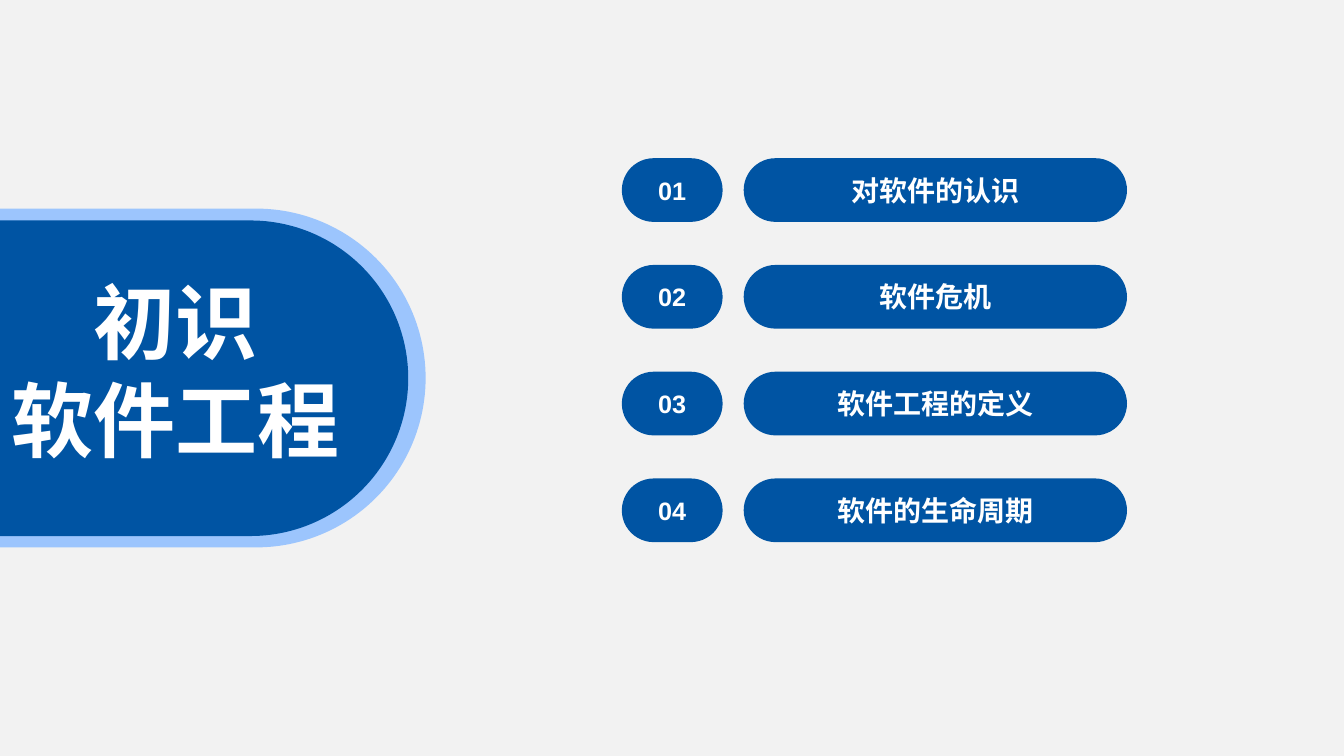
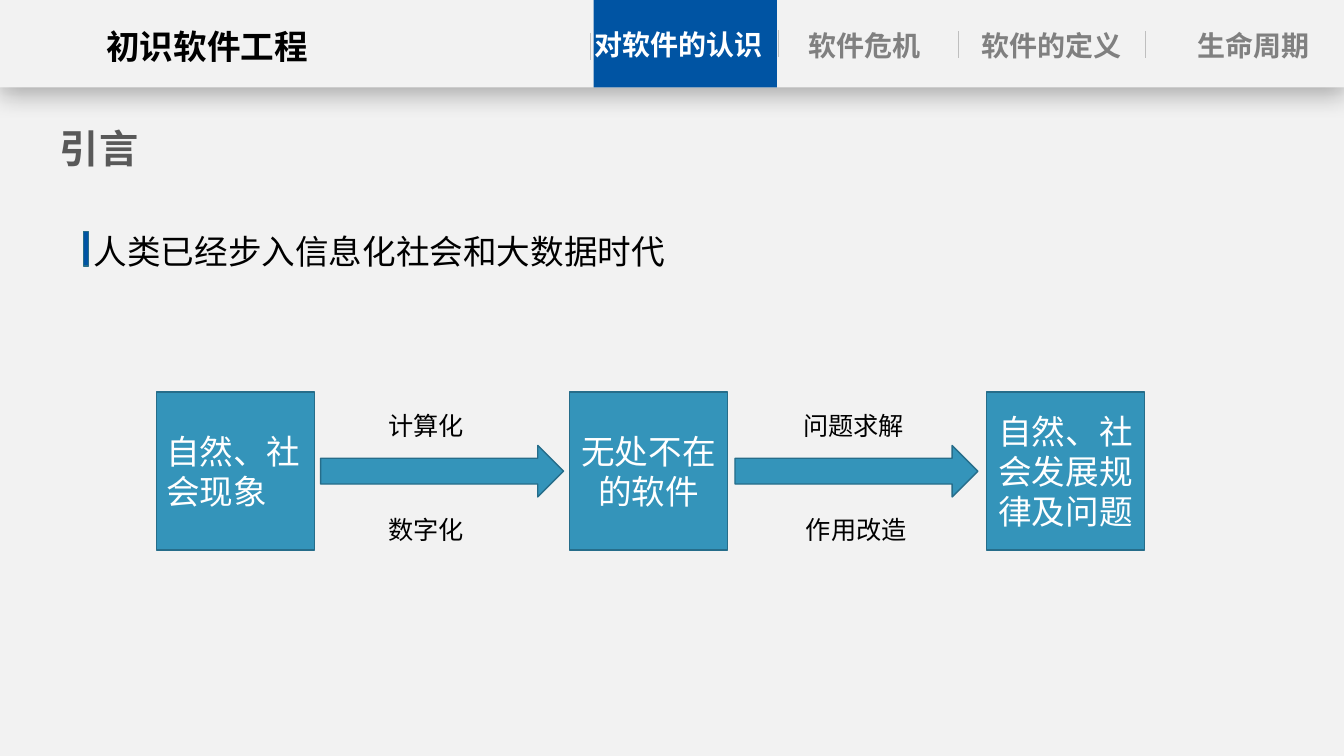
from lxml import etree
from pptx import Presentation
from pptx.dml.color import RGBColor
from pptx.enum.shapes import MSO_CONNECTOR, MSO_SHAPE as SHAPE
from pptx.enum.text import MSO_ANCHOR as ANCHOR, MSO_AUTO_SIZE, PP_ALIGN as ALIGN
from pptx.oxml import parse_xml
from pptx.oxml.ns import qn
from pptx.util import Pt

color = RGBColor.from_string
BACKDROP, NAVY, SKY = "F2F2F2", "0054A3", "9CC5FD"
TEAL, TEAL_EDGE = "3494BA", "266D8A"
WHITE, BLACK, DARK_GRAY, GRAY, RULE_GRAY = "FFFFFF", "000000", "595959", "808080", "BFBFBF"
FONT = "Arial"
SLIDE_WIDTH, SLIDE_HEIGHT = 960, 540


def add_block(slide, kind, box, fill, edge=None):
    block = slide.shapes.add_shape(kind, *map(Pt, box))
    block.shadow.inherit = False
    block.fill.solid()
    block.fill.fore_color.rgb = color(fill)
    if edge:
        block.line.color.rgb = color(edge)
        block.line.width = Pt(1)
    else:
        block.line.fill.background()
    if kind == SHAPE.ROUNDED_RECTANGLE:
        block.adjustments[0] = 0.5
    return block


def write(shape, text, size, hue, bold=False, align=ALIGN.LEFT,
          anchor=ANCHOR.TOP, side=7.2, wrap=True):
    """Fill a shape with text, one paragraph per line."""
    frame = shape.text_frame
    frame_format = {
        "text": text, "word_wrap": wrap, "vertical_anchor": anchor,
        "auto_size": MSO_AUTO_SIZE.NONE,
        "margin_left": Pt(side), "margin_right": Pt(side),
        "margin_top": Pt(3.6), "margin_bottom": Pt(3.6),
    }
    for name, value in frame_format.items():
        setattr(frame, name, value)
    for paragraph in frame.paragraphs:
        paragraph.alignment = align
        for name, value in {"name": FONT, "size": Pt(size), "bold": bold}.items():
            setattr(paragraph.font, name, value)
        paragraph.font.color.rgb = color(hue)


prs = Presentation()
prs.slide_width, prs.slide_height = Pt(SLIDE_WIDTH), Pt(SLIDE_HEIGHT)
backdrop = prs.slide_master.background.fill
backdrop.solid()
backdrop.fore_color.rgb = color(BACKDROP)
title_only = prs.slide_layouts[5]

# Contents
contents = prs.slides.add_slide(title_only)
add_block(contents, SHAPE.ROUNDED_RECTANGLE, (-141, 149, 445, 242), SKY)
add_block(contents, SHAPE.ROUNDED_RECTANGLE, (-122.4, 157.5, 414, 225.4), NAVY)

course = contents.shapes.title
course.left, course.top, course.width, course.height = map(Pt, (-0.7, 190, 252, 150))
write(course, "初识\n软件工程", 58.6, WHITE, bold=True, align=ALIGN.CENTER, wrap=False)
contents.shapes._spTree.append(course._element)

chapters = ["对软件的认识", "软件危机", "软件工程的定义", "软件的生命周期"]
for index, chapter in enumerate(chapters):
    top = 113 + 76.25 * index
    for left, width, text, size in ((444.2, 72, f"{index + 1:02}", 18),
                                    (531.2, 273.8, chapter, 20)):
        pill = add_block(contents, SHAPE.ROUNDED_RECTANGLE, (left, top, width, 45.5), NAVY)
        write(pill, text, size, WHITE, bold=True, align=ALIGN.CENTER, anchor=ANCHOR.MIDDLE)

# Introduction
intro = prs.slides.add_slide(title_only)
heading = intro.shapes.title
heading.left, heading.top, heading.width, heading.height = map(Pt, (42.8, 85, 204, 41))
write(heading, "引言", 28, DARK_GRAY, bold=True, side=0)

add_block(intro, SHAPE.RECTANGLE, (59.8, 165.6, 3.6, 24.5), NAVY, TEAL_EDGE)
statement = intro.shapes.add_textbox(*map(Pt, (59.8, 161.3, 474.5, 36)))
write(statement, "人类已经步入信息化社会和大数据时代", 24, BLACK)

stages = [(111.6, "自然、社会现象", ALIGN.LEFT),
          (406.7, "无处不在的软件", ALIGN.CENTER),
          (704.6, "自然、社会发展规律及问题", ALIGN.CENTER)]
for left, text, align in stages:
    stage = add_block(intro, SHAPE.RECTANGLE, (left, 280, 113, 113), TEAL, TEAL_EDGE)
    write(stage, text, 24, WHITE, align=align, anchor=ANCHOR.MIDDLE)

for left in (229, 525):
    add_block(intro, SHAPE.RIGHT_ARROW, (left, 318.2, 173.5, 36.8), TEAL, TEAL_EDGE)

arrow_notes = [(270.5, 289.4, "计算化"), (270.5, 363.6, "数字化"),
               (566.6, 289.4, "问题求解"), (568.6, 363.6, "作用改造")]
for left, top, text in arrow_notes:
    note = intro.shapes.add_textbox(*map(Pt, (left, top, 91, 29)))
    write(note, text, 18, BLACK)

# Navigation band
band = add_block(intro, SHAPE.RECTANGLE, (0, 0, SLIDE_WIDTH, 62.5), BACKDROP)
effects = band._element.spPr.find(qn("a:effectLst"))
effects.append(parse_xml(
    '<a:outerShdw xmlns:a="http://schemas.openxmlformats.org/drawingml/2006/main" '
    f'blurRad="{Pt(18)}" dist="{Pt(4)}" dir="5400000" algn="t" rotWithShape="0">'
    f'<a:srgbClr val="{BLACK}"><a:alpha val="29000"/></a:srgbClr></a:outerShdw>'))
add_block(intro, SHAPE.RECTANGLE, (424, 0, 131, 62.5), NAVY)

band_labels = [(61.9, 15.1, 172, "初识软件工程", 24, BLACK),
               (421.2, 15.8, 126.7, "对软件的认识", 20, WHITE),
               (564.5, 16.6, 105.8, "软件危机", 20, GRAY),
               (698.4, 16.6, 105.8, "软件的定义", 20, GRAY),
               (842.4, 16.6, 105.8, "生命周期", 20, GRAY)]
for left, top, width, text, size, hue in band_labels:
    label = intro.shapes.add_textbox(*map(Pt, (left, top, width, 32)))
    write(label, text, size, hue, bold=True, align=ALIGN.CENTER, side=0)

for x, top in ((421.5, 23.8), (555.8, 21.6), (684.7, 22.3), (818.5, 22.3)):
    divider = intro.shapes.add_connector(
        MSO_CONNECTOR.STRAIGHT, *map(Pt, (x, top, x, top + 19.4)))
    divider.line.color.rgb = color(RULE_GRAY)
    divider.line.width = Pt(0.5)
    etree.SubElement(divider._element.spPr, qn("a:effectLst"))

prs.save("out.pptx")
